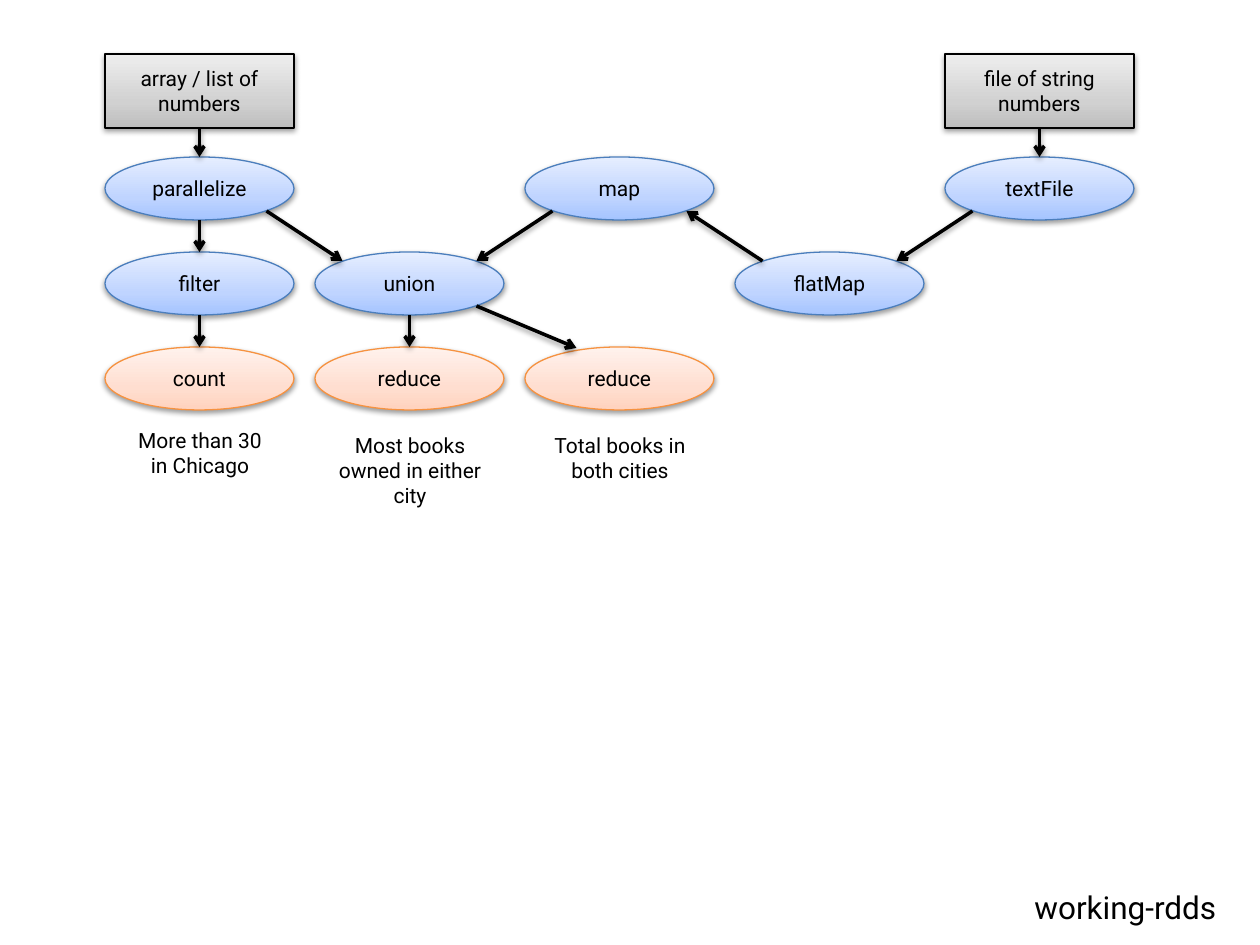
"""Draw the working-rdds data flow slide."""
from copy import deepcopy
from lxml.etree import SubElement
from pptx import Presentation
from pptx.dml.color import RGBColor
from pptx.enum.shapes import MSO_CONNECTOR, MSO_SHAPE
from pptx.enum.text import MSO_ANCHOR, MSO_AUTO_SIZE, PP_ALIGN
from pptx.oxml.ns import qn
from pptx.util import Emu, Inches, Pt

BLACK = RGBColor(0x00, 0x00, 0x00)
BLUE = RGBColor(0x4B, 0x7E, 0xBC)
ORANGE = RGBColor(0xF6, 0x92, 0x40)
GREYS = (RGBColor(0xBD, 0xBD, 0xBD), RGBColor(0xD1, 0xD1, 0xD1), RGBColor(0xEE, 0xEE, 0xEE))
BLUES = (RGBColor(0xA4, 0xC4, 0xFF), RGBColor(0xBF, 0xD4, 0xFF), RGBColor(0xE6, 0xEE, 0xFF))
PEACH = (RGBColor(0xFF, 0xD2, 0xBD), RGBColor(0xFF, 0xDE, 0xD0), RGBColor(0xFF, 0xF2, 0xED))
KINDS = {
    "source": (MSO_SHAPE.RECTANGLE, GREYS, BLACK),
    "step": (MSO_SHAPE.OVAL, BLUES, BLUE),
    "action": (MSO_SHAPE.OVAL, PEACH, ORANGE),
}
LEFT, PITCH, WIDTH = 105, 210, 189
ROWS = ((54, 74), (157, 63), (252, 63), (347, 63))


def px(size):
    """Turn pixels into EMU."""
    return Emu(round(size * Inches(1) / 126))


class Flow:
    """Hold the slide and the style of its elements."""

    def __init__(self, slide, font="Roboto", size=12):
        """Keep the slide and the font."""
        self.slide, self.font, self.size = slide, font, size

    def label(self, shape, text, align=PP_ALIGN.CENTER, size=None):
        """Put formatted text into a shape."""
        frame = shape.text_frame
        frame.text = text
        para = frame.paragraphs[0]
        para.alignment = align
        font = para.runs[0].font
        font.name, font.size = self.font, Pt(size or self.size)
        font.color.rgb = BLACK
        return frame

    def shade(self, shape):
        """Add the soft shadow below a shape."""
        effects = SubElement(shape._element.spPr, qn("a:effectLst"))
        outer = SubElement(effects, qn("a:outerShdw"), blurRad="40000",
                           dist="20000", dir="5400000", rotWithShape="0")
        color = SubElement(outer, qn("a:srgbClr"), val=str(BLACK))
        SubElement(color, qn("a:alpha"), val="38000")

    def title(self, text, left, top, width, height):
        """Place the slide title."""
        shape = self.slide.shapes.title
        shape.left, shape.top = px(left), px(top)
        shape.width, shape.height = px(width), px(height)
        frame = self.label(shape, text, PP_ALIGN.RIGHT, 18)
        frame.word_wrap = False
        frame.auto_size = MSO_AUTO_SIZE.NONE
        frame.vertical_anchor = MSO_ANCHOR.TOP

    def node(self, text, kind, col, row):
        """Draw a node of the grid and return its centre, top and bottom."""
        form, tones, edge = KINDS[kind]
        left = LEFT + col * PITCH
        top, height = ROWS[row]
        shape = self.slide.shapes.add_shape(form, px(left), px(top), px(WIDTH), px(height))
        shape.fill.gradient()
        shape.fill.gradient_angle = 90
        stops = shape._element.spPr.find(".//" + qn("a:gsLst"))
        stops.append(deepcopy(stops[-1]))
        for stop, tone, spot in zip(shape.fill.gradient_stops, tones, (0, 0.35, 1)):
            stop.color.rgb, stop.position = tone, spot
        shape.line.color.rgb, shape.line.width = edge, Pt(0.75)
        self.shade(shape)
        self.label(shape, text).vertical_anchor = MSO_ANCHOR.MIDDLE
        return left + WIDTH / 2, top, top + height

    def link(self, tail, head, reach=67, drop=9):
        """Draw an arrow between the facing edges of two nodes."""
        side = (head[0] > tail[0]) - (head[0] < tail[0])
        down = head[1] > tail[1]
        start, end = (tail[2], head[1]) if down else (tail[1], head[2])
        turn = abs(side) * (1 if down else -1)
        line = self.slide.shapes.add_connector(
            MSO_CONNECTOR.STRAIGHT,
            px(tail[0] + side * 67), px(start - turn * 9),
            px(head[0] - side * reach), px(end + turn * drop))
        line.line.color.rgb, line.line.width = BLACK, Pt(2)
        SubElement(line._element.spPr.find(qn("a:ln")), qn("a:tailEnd"), type="arrow")
        self.shade(line)

    def note(self, text, col, top, height):
        """Add a caption below a column."""
        box = self.slide.shapes.add_textbox(
            px(LEFT + col * PITCH + 11), px(top), px(168), px(height))
        self.label(box, text).word_wrap = True


deck = Presentation()
deck.slide_width, deck.slide_height = Inches(10), Inches(7.5)
flow = Flow(deck.slides.add_slide(deck.slide_layouts[5]))
flow.title("working-rdds", 1021, 882, 208, 50)

nodes = {name: flow.node(text, kind, col, row) for name, text, kind, col, row in (
    ("list", "array / list of numbers", "source", 0, 0),
    ("file", "file of string numbers", "source", 4, 0),
    ("spread", "parallelize", "step", 0, 1),
    ("map", "map", "step", 2, 1),
    ("lines", "textFile", "step", 4, 1),
    ("filter", "filter", "step", 0, 2),
    ("union", "union", "step", 1, 2),
    ("flat", "flatMap", "step", 3, 2),
    ("count", "count", "action", 0, 3),
    ("most", "reduce", "action", 1, 3),
    ("total", "reduce", "action", 2, 3),
)}

for tail, head in (
    ("list", "spread"), ("spread", "filter"), ("filter", "count"),
    ("spread", "union"), ("file", "lines"), ("lines", "flat"),
    ("flat", "map"), ("map", "union"), ("union", "most"),
):
    flow.link(nodes[tail], nodes[head])
flow.link(nodes["union"], nodes["total"], reach=43, drop=1)

flow.note("More than 30 in Chicago", 0, 421, 63)
flow.note("Most books owned in either city", 1, 426, 89)
flow.note("Total books in both cities", 2, 426, 63)

deck.save("out.pptx")
